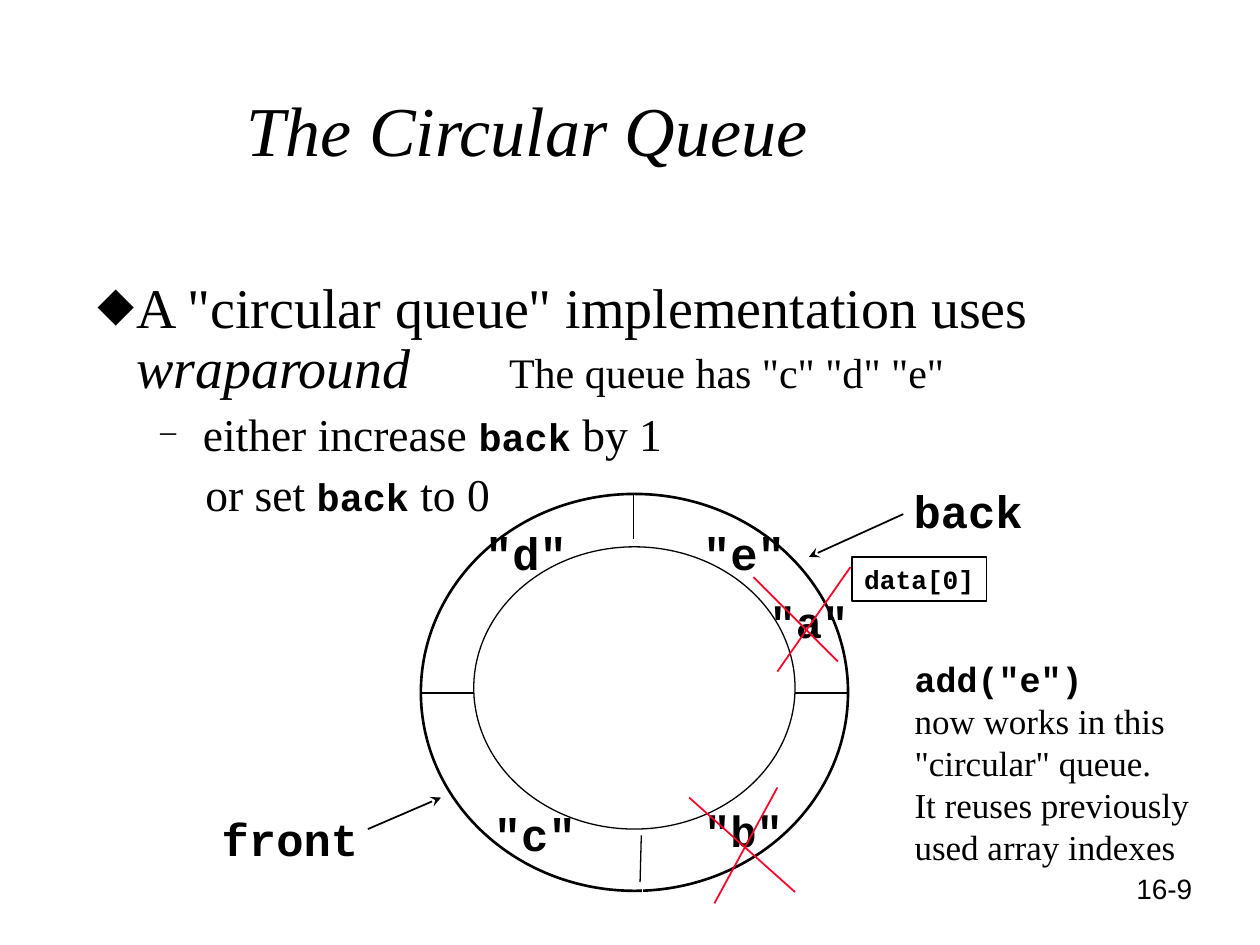
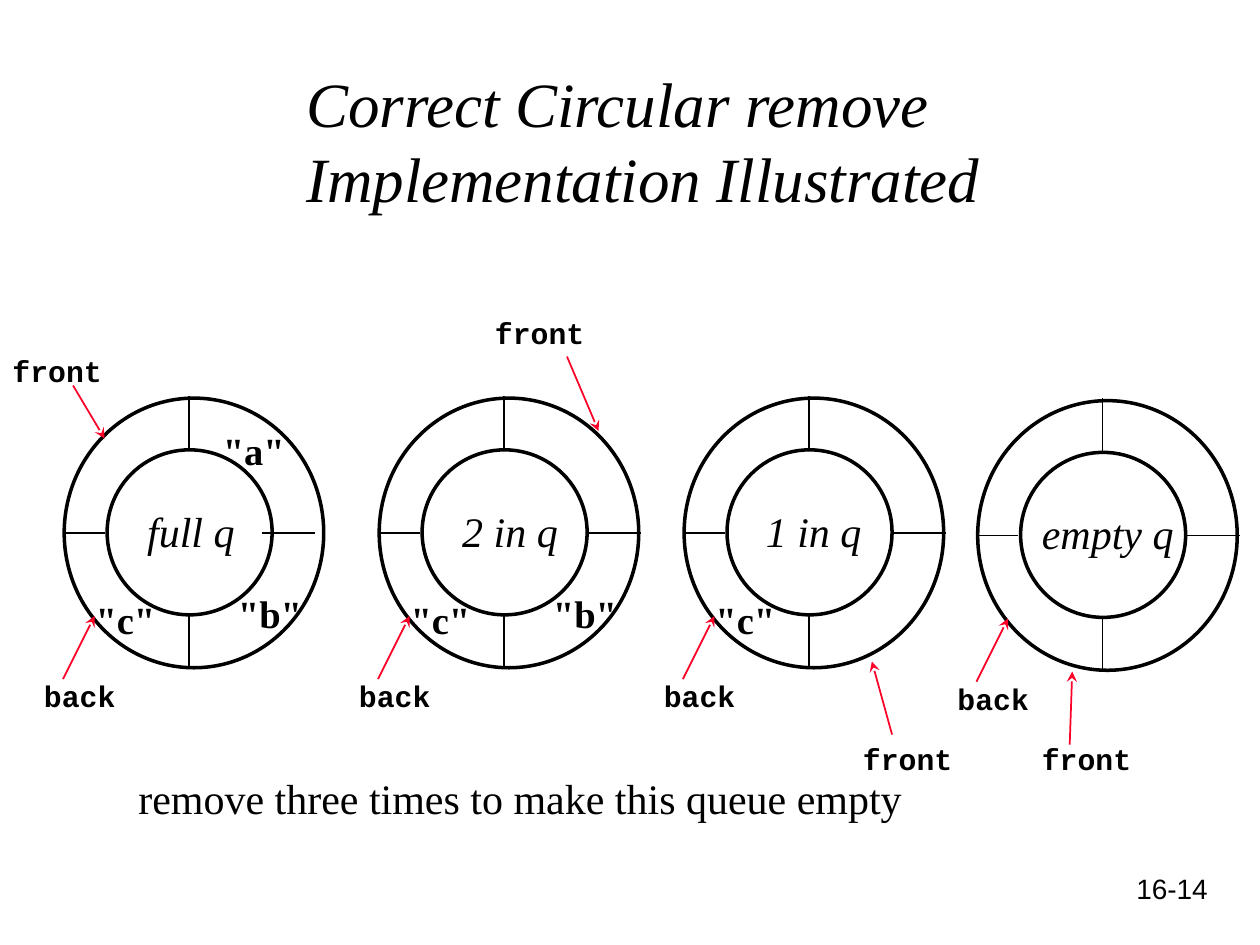
from dataclasses import dataclass, replace

from lxml.etree import SubElement
from pptx import Presentation
from pptx.dml.color import RGBColor
from pptx.enum.shapes import MSO_CONNECTOR, MSO_SHAPE
from pptx.enum.text import MSO_ANCHOR, MSO_AUTO_SIZE, PP_ALIGN
from pptx.oxml.ns import qn
from pptx.util import Inches, Pt

BLACK = RGBColor(0x00, 0x00, 0x00)
WHITE = RGBColor(0xFF, 0xFF, 0xFF)
RED = RGBColor(0xFC, 0x01, 0x28)
COLUMNS, ROWS = 10, 7.5
TITLE_AND_BODY, TITLE_ONLY = 1, 5


@dataclass(frozen=True)
class TextStyle:
    font: str
    size: float
    bold: bool = False
    italic: bool = False


SERIF = TextStyle("Times New Roman", 24)
SERIF_ITALIC = replace(SERIF, italic=True)
CODE = TextStyle("Courier New", 26, bold=True)
POINTER = replace(CODE, size=17)
ELEMENT = replace(SERIF, size=22, bold=True)
PAGE = TextStyle("Arial", 16)


class Deck:
    def __init__(self):
        self.presentation = Presentation()
        self.presentation.slide_width = Inches(10)
        self.presentation.slide_height = Inches(7.5)
        self.slide = None

    def column(self, count):
        return round(self.presentation.slide_width * count / COLUMNS)

    def row(self, count):
        return round(self.presentation.slide_height * count / ROWS)

    def box(self, left, top, width, height):
        return self.column(left), self.row(top), self.column(width), self.row(height)

    def place(self, shape, box):
        shape.left, shape.top, shape.width, shape.height = self.box(*box)

    def add_slide(self, layout, page):
        self.slide = self.presentation.slides.add_slide(
            self.presentation.slide_layouts[layout])
        self.label(page, 8.92, 6.87, PAGE, 0.92)

    def frame(self, shape, wrap=True, inset=0.1, anchor=MSO_ANCHOR.TOP):
        frame = shape.text_frame
        frame.auto_size = MSO_AUTO_SIZE.NONE
        frame.word_wrap = wrap
        frame.vertical_anchor = anchor
        frame.margin_left = frame.margin_right = Inches(inset)
        frame.margin_top = frame.margin_bottom = Inches(inset / 2)
        return frame

    def runs(self, paragraph, *pieces):
        for text, style in pieces:
            run = paragraph.add_run()
            run.text = text
            run.font.name = style.font
            run.font.size = Pt(style.size)
            run.font.bold = style.bold
            run.font.italic = style.italic
            run.font.color.rgb = BLACK

    def title(self, text, box, size, align, right_inset=0.1):
        title = self.slide.shapes.title
        self.place(title, box)
        frame = self.frame(title, anchor=MSO_ANCHOR.MIDDLE)
        frame.margin_right = Inches(right_inset)
        paragraph = frame.paragraphs[0]
        paragraph.alignment = align
        self.runs(paragraph, (text, replace(SERIF_ITALIC, size=size)))

    def body(self, box, items):
        body = self.slide.placeholders[1]
        self.place(body, box)
        frame = self.frame(body)
        for index, item in enumerate(items):
            paragraph = frame.add_paragraph() if index else frame.paragraphs[0]
            paragraph.level = item["level"]
            paragraph.line_spacing = 0.9
            paragraph.space_before = Pt(6.5 if index else 0)
            self.bullet(paragraph, **item["bullet"])
            self.runs(paragraph, *item["runs"])

    def bullet(self, paragraph, margin, hanging=0, symbol=None, percent=100, tab=None):
        properties = paragraph._p.get_or_add_pPr()
        properties.set("marL", str(Inches(margin)))
        properties.set("indent", str(-Inches(hanging)))
        if symbol:
            color = SubElement(properties, qn("a:buClr"))
            SubElement(color, qn("a:srgbClr"), val=str(BLACK))
            SubElement(properties, qn("a:buSzPct"), val=str(percent * 1000))
            SubElement(properties, qn("a:buFont"), typeface=SERIF.font)
            SubElement(properties, qn("a:buChar"), char=symbol)
        else:
            SubElement(properties, qn("a:buNone"))
        if tab:
            tabs = SubElement(properties, qn("a:tabLst"))
            SubElement(tabs, qn("a:tab"), pos=str(Inches(tab)), algn="l")

    def text(self, lines, box, inset=0.1):
        shape = self.slide.shapes.add_textbox(*self.box(*box))
        frame = self.frame(shape, wrap=False, inset=inset)
        for index, line in enumerate(lines):
            paragraph = frame.add_paragraph() if index else frame.paragraphs[0]
            self.runs(paragraph, line)

    def label(self, text, left, top, style, width=None, inset=0.1):
        if width is None:
            width = 0.6 * style.size * len(text) / 72 + 2 * inset
        height = 1.17 * style.size / 72 + inset
        self.text([(text, style)], (left, top, width, height), inset)

    def outline(self, kind, box, weight):
        shape = self.slide.shapes.add_shape(kind, *self.box(*box))
        shape.shadow.inherit = False
        shape.fill.background()
        shape.line.color.rgb = BLACK
        shape.line.width = Pt(weight)
        return shape

    def ellipse(self, box, weight):
        self.outline(MSO_SHAPE.OVAL, box, weight)

    def framed_code(self, text, box, size):
        shape = self.outline(MSO_SHAPE.RECTANGLE, box, 1)
        paragraph = self.frame(shape, wrap=False).paragraphs[0]
        paragraph.alignment = PP_ALIGN.LEFT
        self.runs(paragraph, (text, replace(CODE, size=size)))

    def line(self, start, end, color=BLACK, weight=1.0, arrow=False):
        connector = self.slide.shapes.add_connector(
            MSO_CONNECTOR.STRAIGHT, self.column(start[0]), self.row(start[1]),
            self.column(end[0]), self.row(end[1]))
        connector.line.color.rgb = color
        connector.line.width = Pt(weight)
        if arrow:
            SubElement(connector.line._get_or_add_ln(), qn("a:tailEnd"), type="stealth")
        SubElement(connector._element.spPr, qn("a:effectLst"))

    def ring(self, left, drop, state, state_left, state_width, elements, right_spoke=1.67):
        self.label("back", left - 0.25, 5.33 + drop, POINTER)
        self.ellipse((left + 0.35, 3.57 + drop, 1.31, 1.31), 2)
        self.ellipse((left + 0.01, 3.16 + drop, 2.06, 2.14), 2)
        spokes = [((1, 3.56), (1, 3.14)), ((0.33, 4.23), (0, 4.23)),
                  ((1, 4.89), (1, 5.31)), ((right_spoke, 4.23), (right_spoke + 0.42, 4.23))]
        for (x1, y1), (x2, y2) in spokes:
            self.line((left + x1, y1 + drop), (left + x2, y2 + drop))
        self.line((left, 5.39 + drop), (left + 0.25, 4.89 + drop), RED, arrow=True)
        self.label(state, left + state_left, 3.96 + drop, SERIF_ITALIC, state_width)
        places = {"a": (1.17, 3.34, 0.69), "b": (1.29, 4.63, 0.71), "c": (0.16, 4.68, 0.68)}
        for element in elements:
            offset, top, width = places[element]
            self.label(f'"{element}"', left + offset, top, ELEMENT, width)


def build_circular_queue(deck):
    deck.add_slide(TITLE_AND_BODY, "16-9")
    deck.title("The Circular Queue", (0.33, 0.29, 8.25, 1.46), 40, PP_ALIGN.CENTER, 0.64)

    for text, left, top in [('"c"', 3.92, 6.4), ('"d"', 3.85, 4.17), ('"e"', 5.58, 4.17),
                            ("back", 7.25, 3.83), ("front", 1.76, 6.44)]:
        deck.label(text, left, top, CODE, inset=0)

    deck.ellipse((3.34, 3.92, 3.39, 3.15), 1.5)
    deck.ellipse((3.76, 4.34, 2.55, 2.24), 0.75)
    for start, end, color in [((3.76, 5.5), (3.33, 5.5), BLACK),
                              ((5.03, 4.28), (5.03, 3.92), BLACK),
                              ((6.31, 5.5), (6.74, 5.5), BLACK),
                              ((5.1, 6.6), (5.1, 7.08), WHITE),
                              ((5.08, 7), (5.09, 6.63), BLACK)]:
        deck.line(start, end, color, 0.75)

    large, medium = replace(SERIF, size=32), replace(SERIF, size=26)
    code = replace(CODE, size=22)
    deck.body((0.17, 2.17, 9.17, 4.5), [
        {"level": 0,
         "bullet": {"margin": 0.81, "hanging": 0.31, "symbol": "⬥", "tab": 3.77},
         "runs": [('A "circular queue" implementation uses ', large),
                  ("wraparound", replace(large, italic=True)),
                  ('\tThe queue has "c" "d" "e"', SERIF)]},
        {"level": 1,
         "bullet": {"margin": 1.34, "hanging": 0.34, "symbol": "─", "percent": 50},
         "runs": [("either increase ", medium), ("back", code), (" by 1", medium)]},
        {"level": 1,
         "bullet": {"margin": 1.36},
         "runs": [("or set ", medium), ("back", code), (" to 0", medium)]},
    ])

    removed = replace(CODE, size=25)
    deck.label('"a"', 6.01, 4.67, removed)
    deck.label('"b"', 5.49, 6.33, removed)
    for start, end in [((6.75, 4.5), (6.17, 5.33)), ((5.98, 4.58), (6.65, 5.25)),
                       ((6.17, 6.25), (5.67, 7.17)), ((5.47, 6.33), (6.31, 7.08))]:
        deck.line(start, end, RED)
    deck.line((2.92, 6.58), (3.5, 6.33), arrow=True)
    deck.line((7.17, 4.08), (6.42, 4.42), arrow=True)
    deck.framed_code("data[0]", (6.76, 4.42, 1.07, 0.35), 15)

    note = replace(SERIF, size=20)
    deck.text([('add("e")', replace(CODE, size=20)), ("now works in this", note),
               ('"circular" queue.', note), ("It reuses previously", note),
               ("used array indexes", note)], (7.16, 5.17, 2.45, 1.77))


def build_circular_remove(deck):
    deck.add_slide(TITLE_ONLY, "16-14")
    deck.title("Correct Circular remove Implementation Illustrated",
               (2.33, 0.38, 7.17, 1.46), 36, PP_ALIGN.LEFT)

    deck.ring(0.5, 0, "full q", 0.57, 0.9, "abc", right_spoke=1.58)
    deck.ring(3, 0, "2 in q", 0.57, 0.96, "bc")
    deck.ring(5.42, 0, "1 in q", 0.56, 0.96, "c")
    deck.ring(7.75, 0.02, "empty q", 0.42, 1.25, "")

    for left, top, start, end in [(0, 2.75, (0.58, 3.06), (0.83, 3.48)),
                                  (3.83, 2.45, (4.5, 2.83), (4.75, 3.42)),
                                  (6.75, 5.83, (7.08, 5.83), (6.92, 5.25)),
                                  (8.17, 5.83, (8.49, 5.91), (8.51, 5.33))]:
        deck.label("front", left, top, POINTER)
        deck.line(start, end, RED, arrow=True)
    deck.label("remove three times to make this queue empty", 1, 6.08, SERIF, 6.27)


def main():
    deck = Deck()
    build_circular_queue(deck)
    build_circular_remove(deck)
    deck.presentation.save("out.pptx")


if __name__ == "__main__":
    main()
